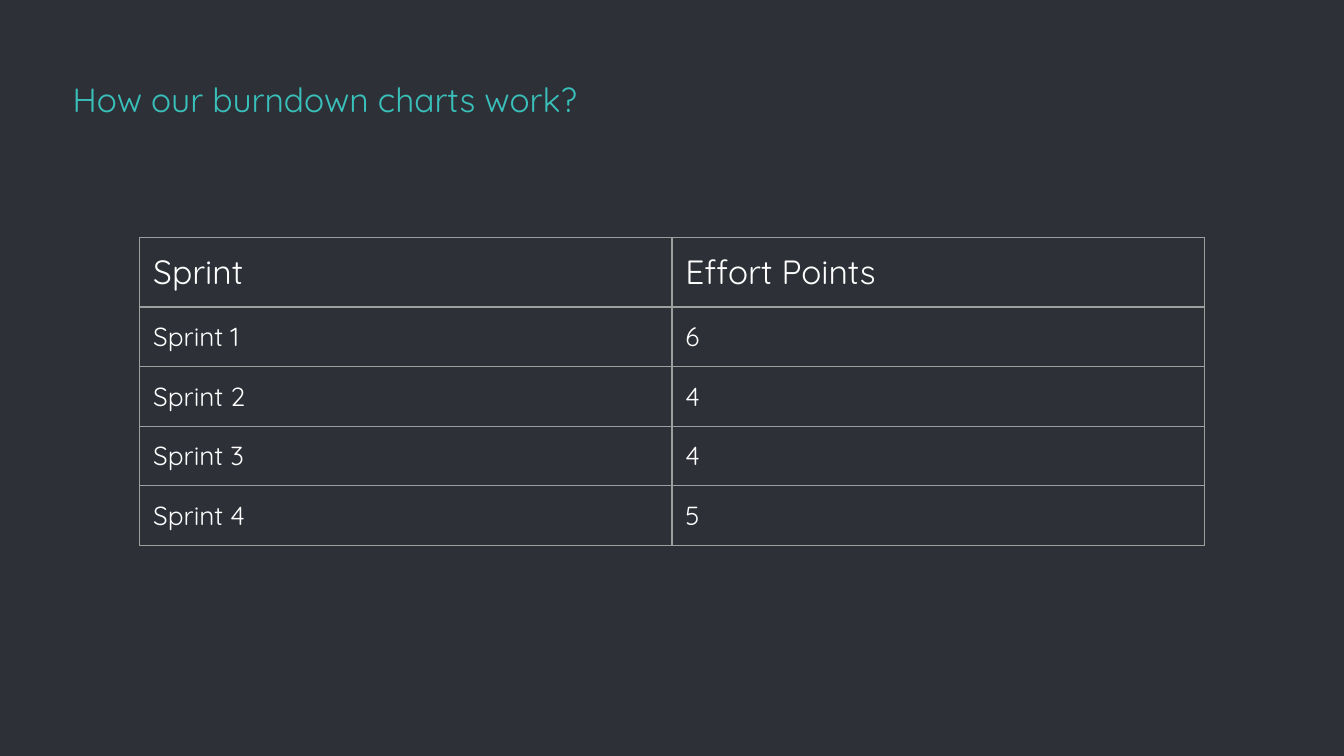
"""Build the burndown slide with its table of effort points per sprint."""

from dataclasses import dataclass
from typing import NamedTuple

from lxml.etree import SubElement
from pptx import Presentation
from pptx.dml.color import RGBColor as Color
from pptx.enum.text import MSO_ANCHOR as Anchor, MSO_AUTO_SIZE as AutoSize, PP_ALIGN as Align
from pptx.oxml.ns import qn
from pptx.util import Pt


@dataclass(frozen=True)
class Theme:
    font: str = "Quicksand"
    background: str = "2E3037"
    accent: str = "39C0BA"
    text: str = "FFFFFF"
    border: str = "9E9E9E"
    heading_size: float = 18
    body_size: float = 14
    border_width: float = 0.75
    inset: float = 7.2


class Row(NamedTuple):
    sprint: str
    points: str
    size: float


THEME = Theme()
ROWS = [
    Row("Sprint", "Effort Points", THEME.heading_size),
    Row("Sprint 1", "6", THEME.body_size),
    Row("Sprint 2", "4", THEME.body_size),
    Row("Sprint 3", "4", THEME.body_size),
    Row("Sprint 4", "5", THEME.body_size),
]
TABLE_LEFT, TABLE_TOP = 74.88, 127.44
COLUMN_WIDTH, ROW_HEIGHT = 285.12, 30.24


def style_text(para, size: float, color: str) -> None:
    para.alignment = Align.LEFT
    for span in para.runs:
        span.font.name = THEME.font
        span.font.size = Pt(size)
        span.font.bold = False
        span.font.color.rgb = Color.from_string(color)


def set_insets(holder) -> None:
    for side in ("left", "top", "right", "bottom"):
        setattr(holder, f"margin_{side}", Pt(THEME.inset))


def draw_borders(cell) -> None:
    properties = cell._tc.get_or_add_tcPr()
    for position, edge in enumerate(("lnL", "lnR", "lnT", "lnB")):
        line = SubElement(properties, qn(f"a:{edge}"), w=str(Pt(THEME.border_width)))
        fill = SubElement(line, qn("a:solidFill"))
        SubElement(fill, qn("a:srgbClr"), val=THEME.border)
        properties.insert(position, line)


def add_title(page, text: str) -> None:
    title = page.shapes.title
    title.left, title.top, title.width, title.height = Pt(31.68), Pt(38.88), Pt(648), Pt(32.4)
    frame = title.text_frame
    frame.text = text
    frame.word_wrap = True
    frame.auto_size = AutoSize.NONE
    frame.vertical_anchor = Anchor.BOTTOM
    set_insets(frame)
    style_text(frame.paragraphs[0], THEME.heading_size, THEME.accent)


def add_sprint_table(page, rows: list[Row]) -> None:
    table = page.shapes.add_table(
        len(rows), 2, Pt(TABLE_LEFT), Pt(TABLE_TOP),
        Pt(2 * COLUMN_WIDTH), Pt(len(rows) * ROW_HEIGHT),
    ).table
    table.first_row = table.horz_banding = False
    for column in table.columns:
        column.width = Pt(COLUMN_WIDTH)
    for index, row in enumerate(rows):
        table.rows[index].height = Pt(ROW_HEIGHT)
        for cell, text in zip(table.rows[index].cells, (row.sprint, row.points)):
            cell.text_frame.text = text
            cell.fill.background()
            set_insets(cell)
            style_text(cell.text_frame.paragraphs[0], row.size, THEME.text)
            draw_borders(cell)


def main() -> None:
    deck = Presentation()
    deck.slide_width, deck.slide_height = Pt(720), Pt(405)
    page = deck.slides.add_slide(deck.slide_layouts.get_by_name("Title Only"))
    page.background.fill.solid()
    page.background.fill.fore_color.rgb = Color.from_string(THEME.background)
    add_title(page, "How our burndown charts work?")
    add_sprint_table(page, ROWS)
    deck.save("out.pptx")


if __name__ == "__main__":
    main()
